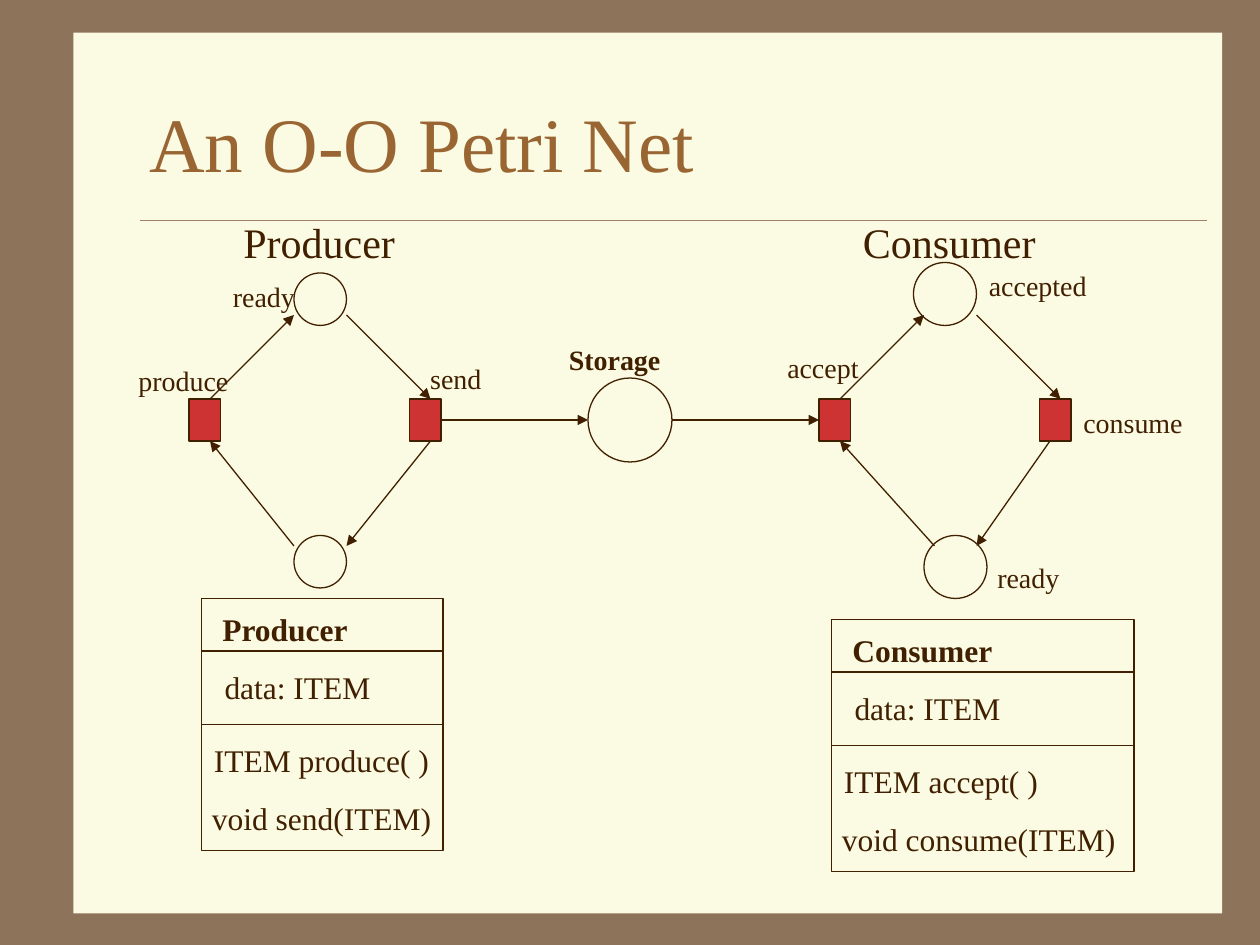
from lxml import etree
from pptx import Presentation, util as u
from pptx.dml.color import RGBColor
from pptx.enum import shapes, text
from pptx.oxml.ns import qn

BROWN = RGBColor(0x8C, 0x73, 0x5A)
CREAM = RGBColor(0xFB, 0xFA, 0xE2)
TAN = RGBColor(0xA0, 0x83, 0x66)
TITLE = RGBColor(0x99, 0x66, 0x33)
INK = RGBColor(0x40, 0x20, 0x00)
RED = RGBColor(0xCD, 0x33, 0x33)
FONT = "Times New Roman"
COLUMNS, ROWS = 120, 90  # square cells, twelve to the inch

PLACES = [(28, 26, 5), (28, 51, 5), (56, 36, 8), (87, 25, 6), (88, 51, 6)]
TRANSITIONS = {"produce": 18, "send": 39, "accept": 78, "consume": 99}
ARCS = [
    (20, 38, 28, 30), (33, 30, 41, 38), (41, 42, 33, 52), (28, 52, 20, 42),
    (80, 38, 88, 30), (93, 30, 101, 38), (100, 42, 93, 52), (89, 52, 80, 42),
]
LABELS = [
    ("ready", 21, 26, 8.5), ("produce", 12, 34, 11.2), ("send", 39.8, 33.8, 7.5),
    ("accept", 73.8, 32.8, 9.4), ("accepted", 93, 25, 11.9),
    ("consume", 102, 38, 12.1), ("ready", 93.8, 52.8, 8.5),
]
HEADINGS = [("Producer", 22, 20, 17), ("Consumer", 81, 20, 19.1)]


def cells(*counts):
    return [u.Inches(count / 12) for count in counts]


def format_text(para, words, size, color=INK, bold=False):
    span = para.add_run()
    span.text = words
    span.font.name = FONT
    span.font.size = u.Pt(size)
    span.font.bold = bold
    span.font.color.rgb = color


def add_label(slide, words, left, top, width, size=16, bold=False):
    box = slide.shapes.add_textbox(*cells(left, top, width, size / 5 + 1.2))
    box.text_frame.word_wrap = False
    box.text_frame.auto_size = text.MSO_AUTO_SIZE.SHAPE_TO_FIT_TEXT
    format_text(box.text_frame.paragraphs[0], words, size, bold=bold)


def add_outline(slide, kind, left, top, width, height, fill=None, line=INK):
    shape = slide.shapes.add_shape(kind, *cells(left, top, width, height))
    shape.shadow.inherit = False
    if fill is None:
        shape.fill.background()
    else:
        shape.fill.solid()
        shape.fill.fore_color.rgb = fill
    if line is None:
        shape.line.fill.background()
    else:
        shape.line.color.rgb = line
        shape.line.width = u.Pt(0.75)
    return shape


def add_line(slide, x1, y1, x2, y2, color=INK, weight=0.75, arrow=False):
    line = slide.shapes.add_connector(
        shapes.MSO_CONNECTOR.STRAIGHT, *cells(x1, y1, x2, y2))
    line.line.color.rgb = color
    line.line.width = u.Pt(weight)
    if arrow:
        etree.SubElement(line.line._get_or_add_ln(), qn("a:tailEnd"), type="triangle")
    etree.SubElement(line._element.spPr, qn("a:effectLst"))
    return line


def add_backdrop(slide):
    """Colour the page and put the panel and rule behind the title."""
    slide.background.fill.solid()
    slide.background.fill.fore_color.rgb = BROWN
    panel = add_outline(slide, shapes.MSO_SHAPE.RECTANGLE, 7, 3.1, 109.4, 83.9,
                        fill=CREAM, line=None)
    rule = add_line(slide, 13.3, 21, 115, 21, color=TAN, weight=0.25)
    for position, item in enumerate((panel, rule), start=2):
        slide.shapes._spTree.insert(position, item._element)


def add_title(slide, words):
    title = slide.shapes.title
    title.left, title.top, title.width, title.height = cells(13, 6, 102, 15)
    title.text_frame.vertical_anchor = text.MSO_ANCHOR.MIDDLE
    para = title.text_frame.paragraphs[0]
    para.alignment = text.PP_ALIGN.LEFT
    format_text(para, words, 44, color=TITLE)


def add_net(slide):
    for left, top, size in PLACES:
        add_outline(slide, shapes.MSO_SHAPE.OVAL, left, top, size, size)
    for arc in ARCS:
        add_line(slide, *arc, arrow=True)
    bars = {
        name: add_outline(slide, shapes.MSO_SHAPE.RECTANGLE, left, 38, 3, 4, fill=RED)
        for name, left in TRANSITIONS.items()
    }
    add_line(slide, 42, 40, 56, 40, arrow=True).begin_connect(bars["send"], 3)
    add_line(slide, 64, 40, 78, 40, arrow=True).end_connect(bars["accept"], 1)
    for label in LABELS:
        add_label(slide, *label)
    for heading in HEADINGS:
        add_label(slide, *heading, size=24)
    add_label(slide, "Storage", 53, 32, 12, bold=True)


def add_class_card(slide, left, top, width, rows):
    """Draw a class box; rows holds its four (words, width) lines."""
    add_outline(slide, shapes.MSO_SHAPE.RECTANGLE, left, top, width, 24)
    for drop in (5, 12):
        add_line(slide, left, top + drop, left + width, top + drop)
    offsets = [(0.8, 0.5), (1, 6), (0, 13), (-0.2, 18.5)]
    for index, ((words, span), (dx, dy)) in enumerate(zip(rows, offsets)):
        add_label(slide, words, left + dx, top + dy, span, size=18, bold=index == 0)


def main():
    deck = Presentation()
    deck.slide_width, deck.slide_height = cells(COLUMNS, ROWS)
    slide = deck.slides.add_slide(deck.slide_layouts[5])
    add_backdrop(slide)
    add_title(slide, "An O-O Petri Net")
    add_net(slide)
    add_class_card(slide, 19.2, 57, 23, [
        ("Producer", 14.6), ("data: ITEM", 16.5),
        ("ITEM produce( )", 23.1), ("void send(ITEM)", 24.2)])
    add_class_card(slide, 79.2, 59, 28.8, [
        ("Consumer", 15.9), ("data: ITEM", 16.5),
        ("ITEM accept( )", 21.1), ("void consume(ITEM)", 29.4)])
    deck.save("out.pptx")


if __name__ == "__main__":
    main()
